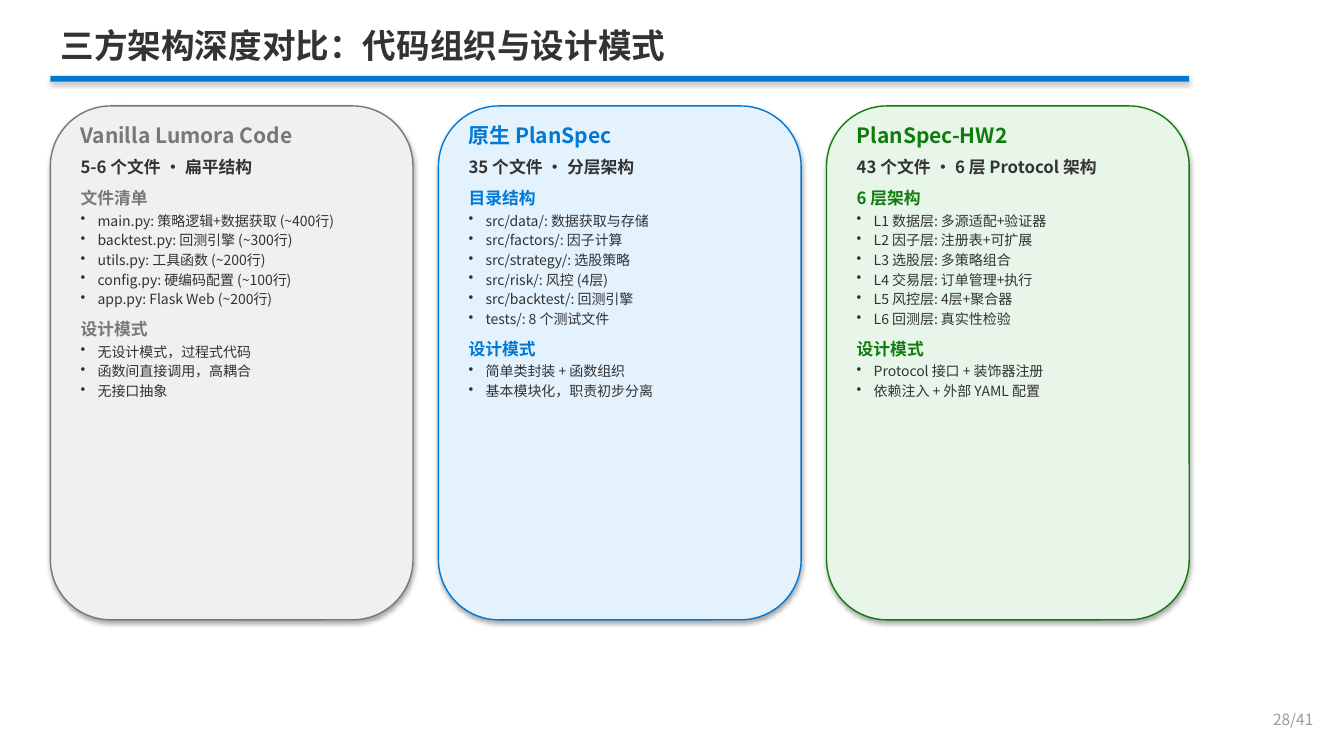
from dataclasses import dataclass

from lxml.etree import SubElement
from pptx import Presentation
from pptx.dml.color import RGBColor
from pptx.enum.shapes import MSO_SHAPE as Shape
from pptx.enum.text import MSO_ANCHOR as Anchor, MSO_AUTO_SIZE as AutoSize, PP_ALIGN as Align
from pptx.oxml.ns import qn
from pptx.util import Cm, Pt

TITLE = "三方架构深度对比：代码组织与设计模式"
PAGE_NUMBER = "28/41"
CARDS = [
    {
        "name": "Vanilla Lumora Code", "summary": "5-6 个文件 · 扁平结构",
        "accent": "787878", "fill": "F0F0F0",
        "sections": [
            ("文件清单", ["main.py: 策略逻辑+数据获取 (~400行)",
                      "backtest.py: 回测引擎 (~300行)",
                      "utils.py: 工具函数 (~200行)",
                      "config.py: 硬编码配置 (~100行)",
                      "app.py: Flask Web (~200行)"]),
            ("设计模式", ["无设计模式，过程式代码", "函数间直接调用，高耦合", "无接口抽象"]),
        ],
    },
    {
        "name": "原生 PlanSpec", "summary": "35 个文件 · 分层架构",
        "accent": "0078D4", "fill": "E3F2FD",
        "sections": [
            ("目录结构", ["src/data/: 数据获取与存储",
                      "src/factors/: 因子计算",
                      "src/strategy/: 选股策略",
                      "src/risk/: 风控 (4层)",
                      "src/backtest/: 回测引擎",
                      "tests/: 8 个测试文件"]),
            ("设计模式", ["简单类封装 + 函数组织", "基本模块化，职责初步分离"]),
        ],
    },
    {
        "name": "PlanSpec-HW2", "summary": "43 个文件 · 6 层 Protocol 架构",
        "accent": "107C10", "fill": "E8F5E9",
        "sections": [
            ("6 层架构", ["L1 数据层: 多源适配+验证器",
                       "L2 因子层: 注册表+可扩展",
                       "L3 选股层: 多策略组合",
                       "L4 交易层: 订单管理+执行",
                       "L5 风控层: 4层+聚合器",
                       "L6 回测层: 真实性检验"]),
            ("设计模式", ["Protocol 接口 + 装饰器注册", "依赖注入 + 外部 YAML 配置"]),
        ],
    },
]


@dataclass(frozen=True)
class Theme:
    font: str = "Noto Sans CJK SC"
    ink: str = "333333"
    rule: str = "0078D4"
    muted: str = "999999"
    title: int = 24
    name: int = 15
    heading: int = 12
    item: int = 10
    page: int = 11


THEME = Theme()
LEFT, CARD_TOP = 1.27, 2.67
CARD_WIDTH, CARD_HEIGHT, CARD_GAP = 9.14, 12.95, 0.64
PAD_X, PAD_Y = 0.51, 0.3
BULLET_INDENT = Cm(0.43)


def style(para, size, color, bold=False, before=0):
    para.space_before = Pt(before)
    for span in para.runs:
        font = span.font
        font.size, font.bold, font.name = Pt(size), bold, THEME.font
        font.color.rgb = RGBColor.from_string(color)
        SubElement(font._element, qn("a:ea"), typeface=THEME.font)


def add_bullet(para):
    props = para._p.get_or_add_pPr()
    props.set("marL", str(BULLET_INDENT))
    props.set("indent", str(-BULLET_INDENT))
    SubElement(props, qn("a:buChar"), char="•")


def add_box(page, left, top, width, height):
    box = page.shapes.add_textbox(Cm(left), Cm(top), Cm(width), Cm(height))
    box.text_frame.word_wrap = True
    return box.text_frame


def add_panel(page, kind, left, top, width, height, fill):
    """Add a filled shape that keeps the theme's soft shadow."""
    panel = page.shapes.add_shape(kind, Cm(left), Cm(top), Cm(width), Cm(height))
    panel.fill.solid()
    panel.fill.fore_color.rgb = RGBColor.from_string(fill)
    panel.line.fill.background()
    return panel


def add_title(page):
    title = page.shapes.title
    title.left, title.top, title.width, title.height = Cm(LEFT), Cm(0.51), Cm(27.94), Cm(1.4)
    frame = title.text_frame
    frame.text = TITLE
    frame.auto_size = AutoSize.NONE
    frame.vertical_anchor = Anchor.TOP
    frame.paragraphs[0].alignment = Align.LEFT
    style(frame.paragraphs[0], THEME.title, THEME.ink, bold=True)


def add_card(page, left, card):
    accent = card["accent"]
    panel = add_panel(page, Shape.ROUNDED_RECTANGLE, left, CARD_TOP,
                      CARD_WIDTH, CARD_HEIGHT, card["fill"])
    panel.line.color.rgb = RGBColor.from_string(accent)
    panel.line.width = Pt(1)

    frame = add_box(page, left + PAD_X, CARD_TOP + PAD_Y,
                    CARD_WIDTH - 2 * PAD_X, CARD_HEIGHT - 2 * PAD_Y)
    frame.text = card["name"]
    style(frame.paragraphs[0], THEME.name, accent, bold=True)

    def add_line(text, size, color, bold, before):
        para = frame.add_paragraph()
        para.text = text
        style(para, size, color, bold, before)
        return para

    add_line(card["summary"], THEME.heading, THEME.ink, True, 6)
    for heading, items in card["sections"]:
        add_line(heading, THEME.heading, accent, True, 8)
        for index, item in enumerate(items):
            before = 2 if index else 3
            add_bullet(add_line(item, THEME.item, THEME.ink, False, before))


def main():
    deck = Presentation()
    deck.slide_width, deck.slide_height = Cm(33.87), Cm(19.05)
    page = deck.slides.add_slide(deck.slide_layouts[5])

    add_title(page)
    rule_width = len(CARDS) * (CARD_WIDTH + CARD_GAP) - CARD_GAP
    add_panel(page, Shape.RECTANGLE, LEFT, 1.91, rule_width, 0.15, THEME.rule)
    for column, card in enumerate(CARDS):
        add_card(page, LEFT + column * (CARD_WIDTH + CARD_GAP), card)

    frame = add_box(page, 30.81, 17.78, 2.54, 1.02)
    frame.text = PAGE_NUMBER
    frame.paragraphs[0].alignment = Align.RIGHT
    style(frame.paragraphs[0], THEME.page, THEME.muted)

    deck.save("out.pptx")


if __name__ == "__main__":
    main()
